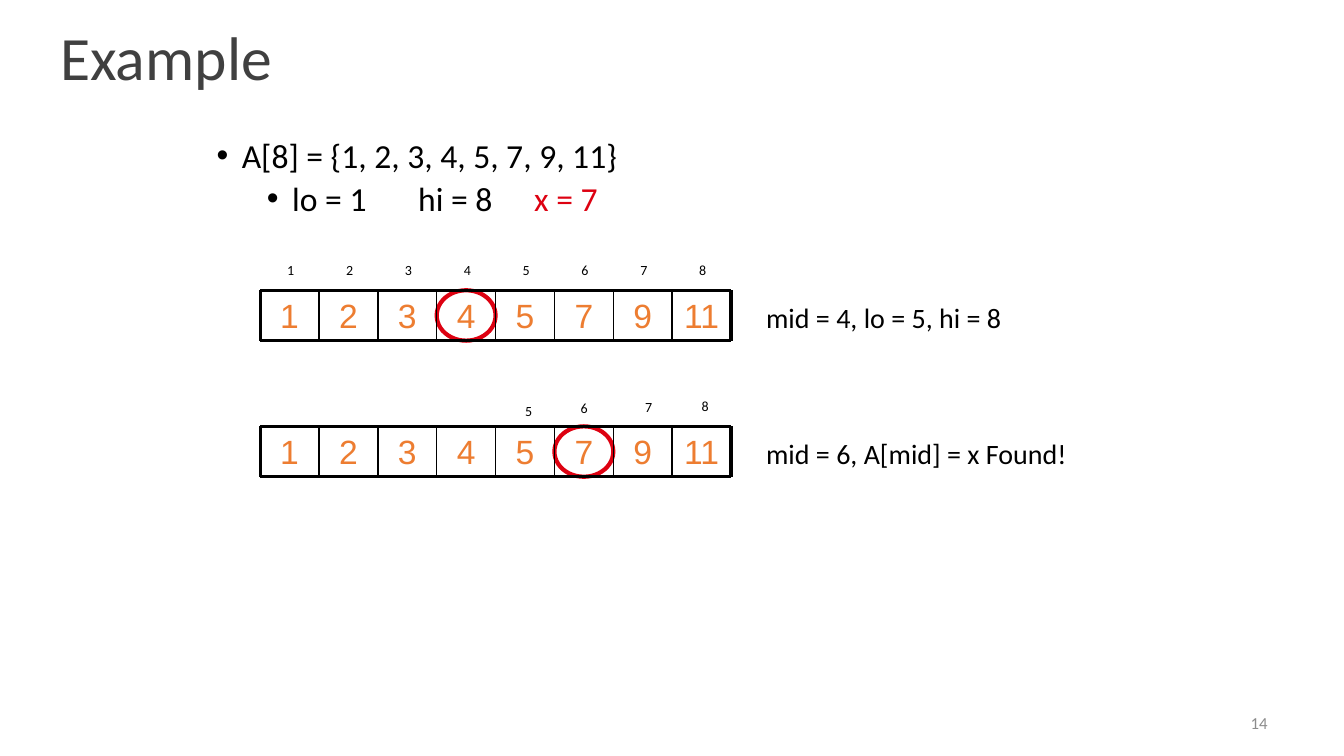
from pptx import Presentation
from pptx.dml.color import RGBColor
from pptx.enum.shapes import MSO_CONNECTOR, MSO_SHAPE
from pptx.enum.text import MSO_ANCHOR, PP_ALIGN
from pptx.oxml.ns import qn
from pptx.util import Inches, Pt
from lxml import etree

STRAIGHT, OVAL = MSO_CONNECTOR.STRAIGHT, MSO_SHAPE.OVAL
TOP, MIDDLE = MSO_ANCHOR.TOP, MSO_ANCHOR.MIDDLE
LEFT, CENTER, RIGHT = PP_ALIGN.LEFT, PP_ALIGN.CENTER, PP_ALIGN.RIGHT
COLORS = {"title": "404040", "text": "000000", "value": "ED7D31",
          "mark": "DD0111", "number": "8C8C8C"}
VALUES = [1, 2, 3, 4, 5, 7, 9, 11]
ARRAY_LEFT, ARRAY_RIGHT, CELL_HEIGHT = 2.58, 7.25, 0.5
CELL_WIDTH = (ARRAY_RIGHT - ARRAY_LEFT) / len(VALUES)


class SlideBuilder:
    """Draws the elements of a binary search example on one page."""

    def __init__(self, page):
        self.page = page
        self.font = "Calibri"

    def color(self, name):
        return RGBColor.from_string(COLORS[name])

    def style(self, span, size, color, font=None):
        span.font.name = font or self.font
        span.font.size = Pt(size)
        span.font.color.rgb = self.color(color)

    def box(self, left, top, width, height, anchor=TOP):
        box = self.page.shapes.add_textbox(*map(Inches, (left, top, width, height)))
        box.text_frame.word_wrap = True
        box.text_frame.vertical_anchor = anchor
        return box.text_frame

    def text(self, words, place, size, color="text", font=None, align=LEFT, anchor=TOP):
        frame = self.box(*place, anchor=anchor)
        frame.text = words
        para = frame.paragraphs[0]
        para.alignment = align
        self.style(para.runs[0], size, color, font)
        return frame

    def bullet(self, para, spans, margin, level=0, before=0, tabs=()):
        para.text = spans[0][0]
        for words, _ in spans[1:]:
            para.add_run().text = words
        para.level = level
        settings = para._p.get_or_add_pPr()
        settings.set("marL", str(Inches(margin)))
        settings.set("indent", str(Inches(-0.25)))
        etree.SubElement(settings, qn("a:buFont"), typeface="Arial")
        etree.SubElement(settings, qn("a:buChar"), char="•")
        if tabs:
            stops = etree.SubElement(settings, qn("a:tabLst"))
            for stop in tabs:
                etree.SubElement(stops, qn("a:tab"), pos=str(Inches(stop)), algn="l")
        para.line_spacing = 0.9
        para.space_before = Pt(before)
        for span, (_, color) in zip(para.runs, spans):
            self.style(span, 24, color)

    def line(self, start, end, width):
        line = self.page.shapes.add_connector(STRAIGHT, *map(Inches, (*start, *end)))
        line.line.color.rgb = self.color("text")
        line.line.width = Pt(width)
        etree.SubElement(line._element.spPr, qn("a:effectLst"))

    def ring(self, left, top):
        ring = self.page.shapes.add_shape(
            OVAL, *map(Inches, (left, top, CELL_WIDTH, CELL_HEIGHT)))
        ring.shadow.inherit = False
        ring.fill.background()
        ring.line.color.rgb = self.color("mark")
        ring.line.width = Pt(3)

    def array(self, top, middle):
        bottom = top + CELL_HEIGHT
        edges = [ARRAY_LEFT + i * CELL_WIDTH for i in range(len(VALUES) + 1)]
        self.ring(edges[middle - 1], top)
        for value, left in zip(VALUES, edges):
            frame = self.text(str(value), (left, top, CELL_WIDTH, CELL_HEIGHT), 24,
                              "value", "Arial", CENTER, MIDDLE)
            frame.margin_left = frame.margin_right = 0
        for y in (top, bottom):
            self.line((ARRAY_LEFT, y), (ARRAY_RIGHT, y), 2.25)
        for x in edges:
            self.line((x, top), (x, bottom), 2.25 if x in (edges[0], edges[-1]) else 1)

    def index(self, number, left, top):
        self.text(str(number), (left, top, 0.25, 0.27), 10)


def main():
    deck = Presentation()
    deck.slide_width, deck.slide_height = Inches(13.33), Inches(7.5)
    slide = SlideBuilder(deck.slides.add_slide(deck.slide_layouts[6]))

    title = slide.text("Example", (0.5, 0.11, 12, 0.99), 44, "title", anchor=MIDDLE)
    title.paragraphs[0].line_spacing = 0.9

    body = slide.box(2.05, 1.33, 9.03, 1.51)
    slide.bullet(body.paragraphs[0], [("A[8] = {1, 2, 3, 4, 5, 7, 9, 11}", "text")], 0.25)
    slide.bullet(body.add_paragraph(), [("lo = 1\thi = 8\t", "text"), ("x = 7", "mark")],
                 0.75, level=1, before=5, tabs=(2, 3.15))

    slide.text("14", (9.56, 7, 3.11, 0.35), 12, "number", align=RIGHT, anchor=MIDDLE)

    steps = [(2.88, 4, "mid = 4, lo = 5, hi = 8"),
             (4.23, 6, "mid = 6, A[mid] = x Found!")]
    for top, middle, result in steps:
        slide.array(top, middle)
        slide.text(result, (7.5, top + 0.05, 3.42, 0.43), 20)

    for i in range(len(VALUES)):
        slide.index(i + 1, 2.75 + i * CELL_WIDTH, 2.55)
    for number, left, top in [(5, 5.11, 3.94), (6, 5.66, 3.91), (7, 6.3, 3.9), (8, 6.86, 3.89)]:
        slide.index(number, left, top)

    deck.save("out.pptx")


if __name__ == "__main__":
    main()
